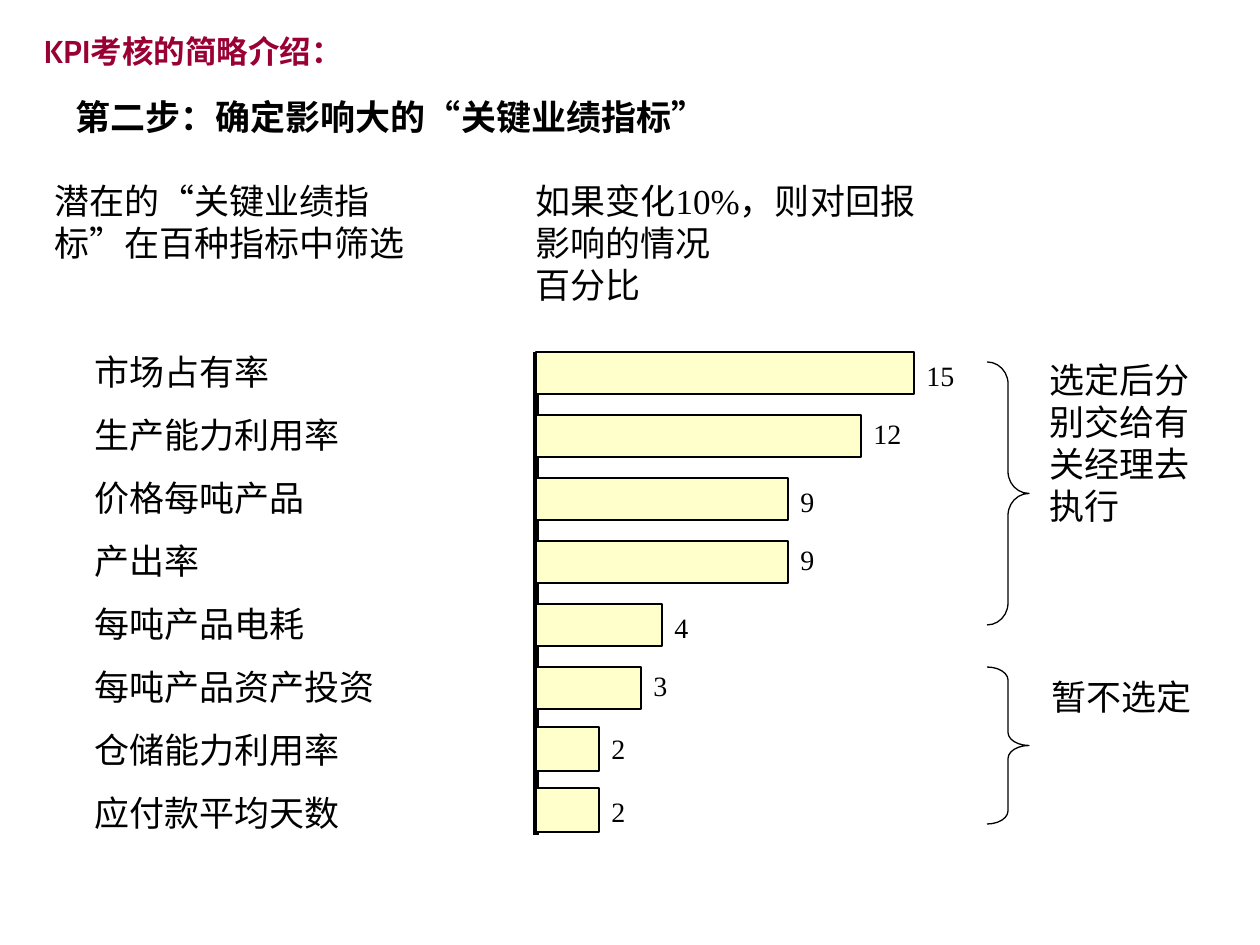
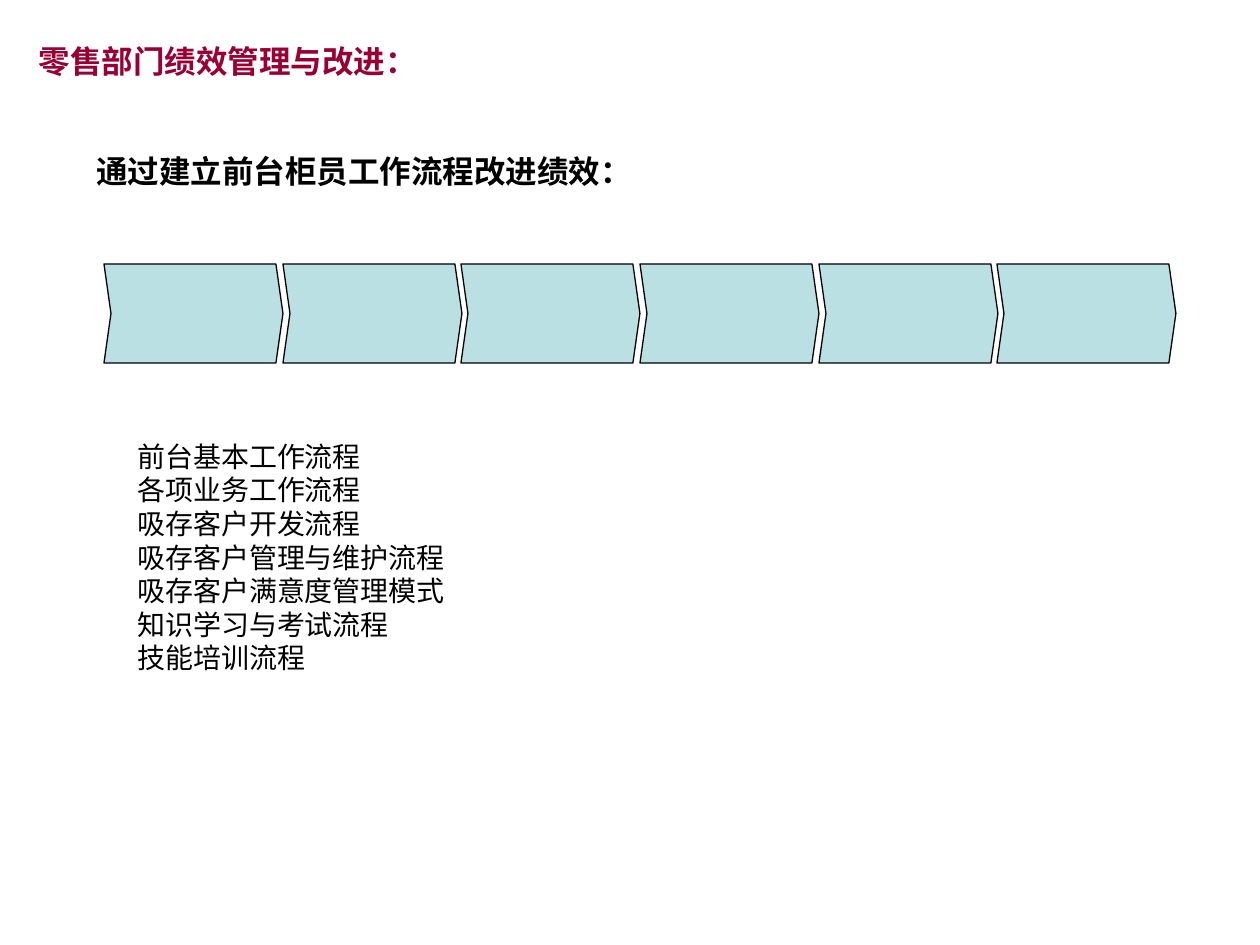
"""Build two slides on choosing KPIs and improving retail performance."""
from dataclasses import dataclass

from lxml.etree import SubElement
from pptx import Presentation
from pptx.dml.color import RGBColor
from pptx.enum.lang import MSO_LANGUAGE_ID as Language
from pptx.enum.shapes import MSO_CONNECTOR as Connector, MSO_SHAPE as Preset
from pptx.enum.text import MSO_ANCHOR as Anchor, MSO_AUTO_SIZE as AutoSize, PP_ALIGN as Align
from pptx.oxml.ns import qn
from pptx.util import Emu, Inches, Pt

EMU_PER_PX = 914400 / 126
BLACK, CRIMSON, CREAM, AQUA = "000000", "990033", "FFFFCC", "BBE0E3"
SERIF, SANS, TITLE_LATIN, CHINESE = "Times New Roman", "Arial", "Cabin", "Noto Sans CJK SC"
TITLE_AND_CONTENT = 1


@dataclass(frozen=True)
class Area:
    """A rectangle in px."""
    left: int
    top: int
    width: int
    height: int


@dataclass(frozen=True)
class Style:
    """The look of the text in one box."""
    font: str
    size: int
    color: str = BLACK
    bold: bool = False
    spacing: float = 1.0


@dataclass(frozen=True)
class Bar:
    """An indicator with its bar and value label."""
    indicator: str
    value: int
    top: int
    width: int
    value_top: int
    height: int = 42


@dataclass(frozen=True)
class Note:
    """Paragraphs of text in an area."""
    area: Area
    lines: tuple[str, ...]
    style: Style


SERIF_TEXT = Style(SERIF, 20)
VALUE_TEXT = Style(SERIF, 16)
BAR_LEFT = 536
AXIS_TOP, AXIS_BOTTOM = 352, 835
BARS = (
    Bar("市场占有率", 15, 352, 378, 352),
    Bar("生产能力利用率", 12, 415, 325, 410),
    Bar("价格每吨产品", 9, 478, 252, 478),
    Bar("产出率", 9, 541, 252, 536),
    Bar("每吨产品电耗", 4, 604, 126, 604),
    Bar("每吨产品资产投资", 3, 667, 105, 662),
    Bar("仓储能力利用率", 2, 727, 63, 725, 44),
    Bar("应付款平均天数", 2, 788, 63, 788, 44),
)
BRACES = (Area(987, 362, 42, 263), Area(987, 667, 42, 157))
KPI_NOTES = (
    Note(Area(63, 89, 662, 55), ("第二步：确定影响大的“关键业绩指标”",), Style(SERIF, 20, bold=True)),
    Note(Area(42, 173, 431, 97), ("潜在的“关键业绩指标”在百种指标中筛选",), SERIF_TEXT),
    Note(Area(523, 173, 422, 139), ("如果变化10%，则对回报影响的情况", "百分比"), SERIF_TEXT),
    Note(Area(1037, 352, 180, 181), ("选定后分别交给有关经理去执行",), SERIF_TEXT),
    Note(Area(1039, 669, 176, 55), ("暂不选定",), SERIF_TEXT),
)
STEP_COUNT = 6
STEPS = Area(104, 264, 1072, 99)
STEP_POINT = 7
PROCESSES = (
    "前台基本工作流程", "各项业务工作流程", "吸存客户开发流程", "吸存客户管理与维护流程",
    "吸存客户满意度管理模式", "知识学习与考试流程", "技能培训流程",
)


def px(length: float) -> Emu:
    """Turn px into EMU."""
    return Emu(round(length * EMU_PER_PX))


def rgb(value: str) -> RGBColor:
    """Turn a hex string into a colour."""
    return RGBColor.from_string(value)


def place(box, area: Area) -> None:
    """Move a box to an area."""
    box.left, box.top = px(area.left), px(area.top)
    box.width, box.height = px(area.width), px(area.height)


def write(box, note: Note) -> None:
    """Place a box and fill it with plain left-aligned paragraphs."""
    place(box, note.area)
    style = note.style
    frame = box.text_frame
    frame.word_wrap = True
    frame.auto_size = AutoSize.SHAPE_TO_FIT_TEXT
    frame.vertical_anchor = Anchor.TOP
    frame.margin_left = frame.margin_right = Inches(0.1)
    frame.margin_top = frame.margin_bottom = Inches(0.05)
    for index, line in enumerate(note.lines):
        para = frame.add_paragraph() if index else frame.paragraphs[0]
        para.text = line
        para.alignment = Align.LEFT
        para.line_spacing = style.spacing
        para.space_before = Pt(0)
        properties = para._p.get_or_add_pPr()
        properties.set("marL", "0")
        properties.set("indent", "0")
        SubElement(properties, qn("a:buNone"))
        font = para.font
        font.name, font.size, font.bold = style.font, Pt(style.size), style.bold
        font.language_id = Language.SIMPLIFIED_CHINESE
        font.color.rgb = rgb(style.color)
        SubElement(properties.find(qn("a:defRPr")), qn("a:ea"), typeface=CHINESE)


def add_note(page, note: Note) -> None:
    """Add a text box."""
    write(page.shapes.add_textbox(0, 0, 0, 0), note)


def add_outlined(page, preset: Preset, area: Area, fill: str | None = None):
    """Add a preset shape with a thin black outline."""
    shape = page.shapes.add_shape(preset, 0, 0, 0, 0)
    place(shape, area)
    shape.shadow.inherit = False
    if fill:
        shape.fill.solid()
        shape.fill.fore_color.rgb = rgb(fill)
    else:
        shape.fill.background()
    shape.line.color.rgb = rgb(BLACK)
    shape.line.width = Pt(0.75)
    return shape


def add_axis(page) -> None:
    """Add the thick vertical line the bars start from."""
    axis = page.shapes.add_connector(
        Connector.STRAIGHT, px(BAR_LEFT), px(AXIS_TOP), px(BAR_LEFT), px(AXIS_BOTTOM))
    axis.line.color.rgb = rgb(BLACK)
    axis.line.width = Pt(3)
    SubElement(axis._element.spPr, qn("a:effectLst"))


def add_page(deck, title: Note, body: Note):
    """Add a page with a title and a list."""
    page = deck.slides.add_slide(deck.slide_layouts[TITLE_AND_CONTENT])
    write(page.shapes.title, title)
    write(page.placeholders[1], body)
    return page


def title_style(font: str) -> Style:
    """Give the shared title look in a Latin font."""
    return Style(font, 18, CRIMSON, bold=True)


def build_kpi_page(deck) -> None:
    """Show how strongly each indicator affects the return."""
    page = add_page(
        deck,
        Note(Area(31, 26, 360, 50), ("KPI考核的简略介绍：",), title_style(TITLE_LATIN)),
        Note(Area(82, 323, 340, 517), tuple(bar.indicator for bar in BARS),
             Style(SERIF, 20, spacing=1.5)))
    add_axis(page)
    for bar in BARS:
        add_outlined(page, Preset.RECTANGLE, Area(BAR_LEFT, bar.top, bar.width, bar.height), CREAM)
        value = str(bar.value)
        label = Area(BAR_LEFT + bar.width, bar.value_top, 32 + 15 * len(value), 47)
        add_note(page, Note(label, (value,), VALUE_TEXT))
    for area in BRACES:
        brace = add_outlined(page, Preset.RIGHT_BRACE, area)
        brace.adjustments[0] = area.height / 12 / area.width
    for note in KPI_NOTES:
        add_note(page, note)


def build_process_page(deck) -> None:
    """Show the counter work processes below a row of steps."""
    page = add_page(
        deck,
        Note(Area(26, 36, 430, 50), ("零售部门绩效管理与改进：",), title_style(SANS)),
        Note(Area(125, 433, 360, 282), PROCESSES, Style(SANS, 16)))
    pitch = STEPS.width / STEP_COUNT
    for index in range(STEP_COUNT):
        area = Area(STEPS.left + round(index * pitch), STEPS.top, round(pitch), STEPS.height)
        step = add_outlined(page, Preset.CHEVRON, area, AQUA)
        step.adjustments[0] = STEP_POINT / STEPS.height
    add_note(page, Note(Area(84, 146, 590, 50), ("通过建立前台柜员工作流程改进绩效：",),
                        Style(SANS, 18, bold=True)))


def main() -> None:
    """Build and save the deck."""
    deck = Presentation()
    deck.slide_width, deck.slide_height = px(1260), px(945)
    build_kpi_page(deck)
    build_process_page(deck)
    deck.save("out.pptx")


if __name__ == "__main__":
    main()
